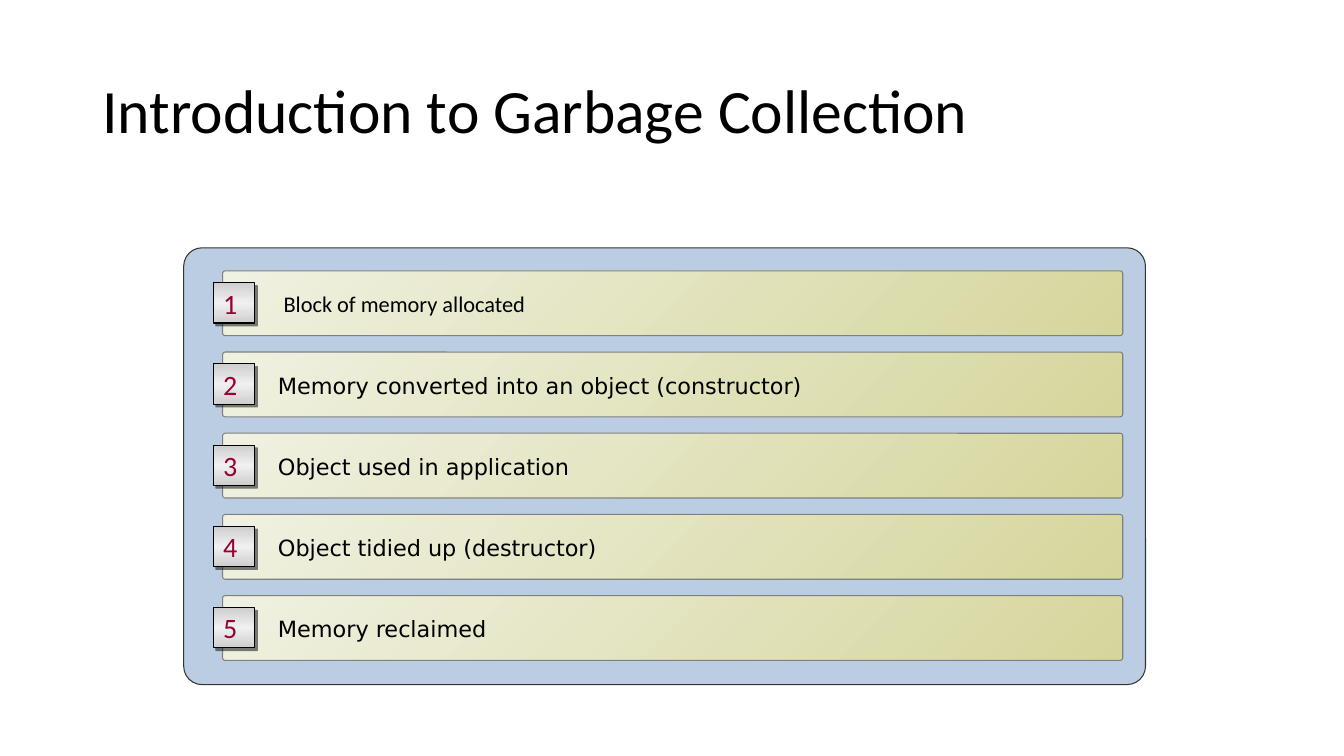
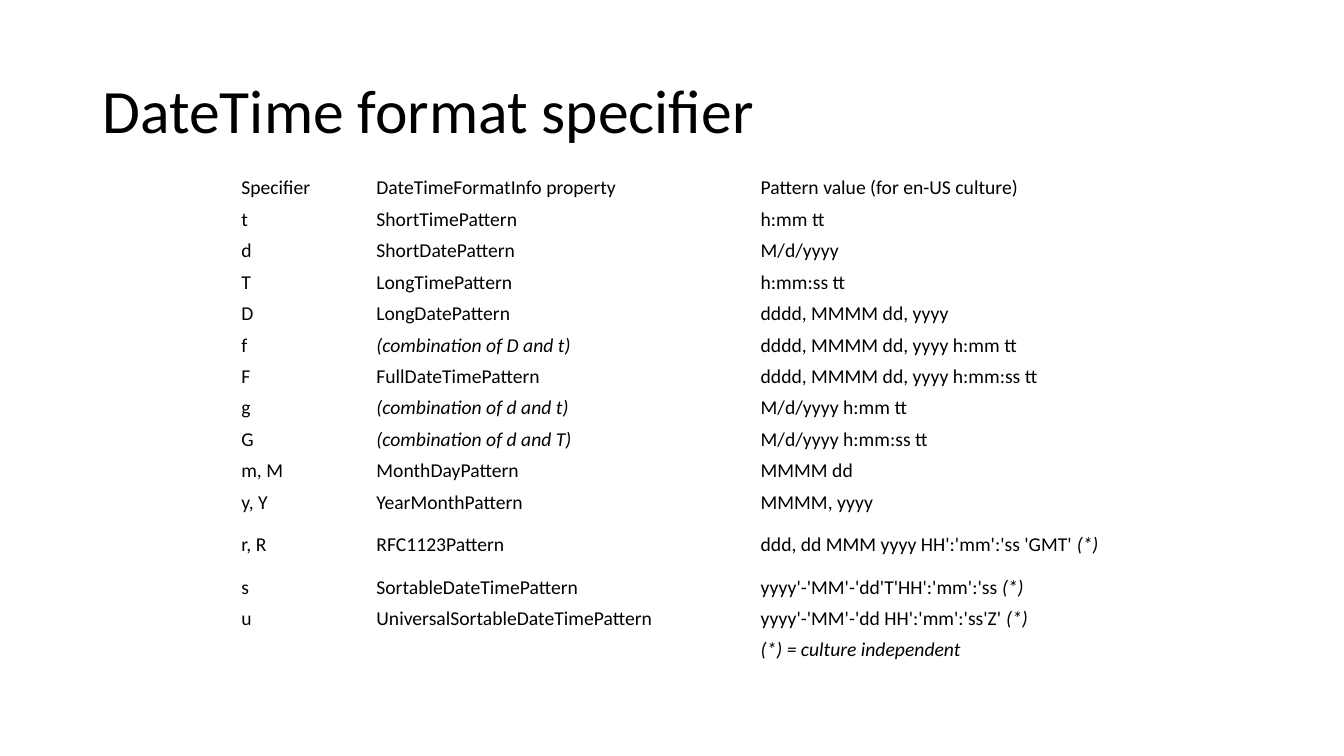
from lxml.etree import SubElement as Sub
from pptx import Presentation
from pptx.dml.color import RGBColor as Rgb
from pptx.enum.shapes import MSO_SHAPE as Form
from pptx.enum.text import MSO_ANCHOR as Anchor, MSO_AUTO_SIZE as Auto, PP_ALIGN as Align
from pptx.oxml.ns import qn
from pptx.util import Pt

BLACK = Rgb(0x00, 0x00, 0x00)
WHITE = Rgb(0xFF, 0xFF, 0xFF)
DARK = Rgb(0x33, 0x33, 0x33)
GREY = Rgb(0x80, 0x80, 0x80)
BLUE = Rgb(0xBB, 0xCD, 0xE3)
CREAM = Rgb(0xF0, 0xF1, 0xE1)
OLIVE = Rgb(0xD5, 0xD6, 0x9C)
STEEL = Rgb(0xCE, 0xCE, 0xCE)
SHINE = Rgb(0xF0, 0xF0, 0xF0)
WINE = Rgb(0x99, 0x00, 0x33)

SANS = "Calibri"
WIDE = "DejaVu Sans"

STEPS = [
    ("Block of memory allocated", SANS, 43),
    ("Memory converted into an object (constructor)", WIDE, 39),
    ("Object used in application", WIDE, 39),
    ("Object tidied up (destructor)", WIDE, 39),
    ("Memory reclaimed", WIDE, 39),
]

ROWS = [
    ("Specifier", "DateTimeFormatInfo property", "Pattern value (for en-US culture)"),
    ("t", "ShortTimePattern", "h:mm tt"),
    ("d", "ShortDatePattern", "M/d/yyyy"),
    ("T", "LongTimePattern", "h:mm:ss tt"),
    ("D", "LongDatePattern", "dddd, MMMM dd, yyyy"),
    ("f", "(combination of D and t)", "dddd, MMMM dd, yyyy h:mm tt"),
    ("F", "FullDateTimePattern", "dddd, MMMM dd, yyyy h:mm:ss tt"),
    ("g", "(combination of d and t)", "M/d/yyyy h:mm tt"),
    ("G", "(combination of d and T)", "M/d/yyyy h:mm:ss tt"),
    ("m, M", "MonthDayPattern", "MMMM dd"),
    ("y, Y", "YearMonthPattern", "MMMM, yyyy"),
    ("r, R", "RFC1123Pattern", "ddd, dd MMM yyyy HH':'mm':'ss 'GMT' (*)"),
    ("s", "SortableDateTimePattern", "yyyy'-'MM'-'dd'T'HH':'mm':'ss (*)"),
    ("u", "UniversalSortableDateTimePattern", "yyyy'-'MM'-'dd HH':'mm':'ss'Z' (*)"),
    ("", "", "(*) = culture independent"),
]


def apply(item, vals):
    for key, val in vals.items():
        setattr(item, key, val)


class Deck:
    def __init__(self):
        self.show = Presentation()
        apply(self.show, {"slide_width": Pt(960), "slide_height": Pt(540)})
        self.slide = None

    def page(self, text):
        self.slide = self.show.slides.add_slide(self.show.slide_layouts[5])
        head = self.slide.shapes.title
        apply(head, {"left": Pt(66), "top": Pt(28.75), "width": Pt(828), "height": Pt(104.4)})
        apply(head.text_frame, {"auto_size": Auto.NONE, "word_wrap": True,
                                "vertical_anchor": Anchor.MIDDLE})
        para = head.text_frame.paragraphs[0]
        apply(para, {"alignment": Align.LEFT, "line_spacing": 0.9})
        self.run(para, text, 44)

    def run(self, para, text, size, face=SANS, color=BLACK, slant=False):
        run = para.add_run()
        run.text = text
        apply(run.font, {"size": Pt(size), "name": face, "italic": slant, "bold": False})
        run.font.color.rgb = color

    def box(self, left, top, width, height, edge, tones, angle=0, curve=0.042):
        box = self.slide.shapes.add_shape(
            Form.ROUNDED_RECTANGLE, Pt(left), Pt(top), Pt(width), Pt(height))
        box.adjustments[0] = curve
        box.shadow.inherit = False
        box.line.color.rgb = edge
        box.line.width = Pt(0.75)
        if len(tones) == 1:
            box.fill.solid()
            box.fill.fore_color.rgb = tones[0]
        else:
            self.blend(box, tones, angle)
        return box

    def blend(self, box, tones, angle):
        box.fill.gradient()
        box.fill.gradient_angle = angle
        stops = box.element.spPr.find(qn("a:gradFill")).find(qn("a:gsLst"))
        for stop in list(stops):
            stops.remove(stop)
        for spot, tone in enumerate(tones):
            stop = Sub(stops, qn("a:gs"), pos=str(100000 * spot // (len(tones) - 1)))
            Sub(stop, qn("a:srgbClr"), val=str(tone))

    def shade(self, box):
        list_ = box.element.spPr.find(qn("a:effectLst"))
        cast = Sub(list_, qn("a:outerShdw"), blurRad="0", dist=str(int(Pt(2.8))),
                   dir="2700000", algn="ctr", rotWithShape="0")
        tone = Sub(cast, qn("a:srgbClr"), val=str(BLACK))
        Sub(tone, qn("a:alpha"), val="50000")

    def label(self, box, text, size, inset=7.2, space=1.0, **look):
        frame = box.text_frame
        apply(frame, {"margin_left": Pt(inset), "margin_right": 0, "margin_top": 0,
                      "margin_bottom": 0, "word_wrap": True,
                      "vertical_anchor": Anchor.MIDDLE})
        para = frame.paragraphs[0]
        apply(para, {"alignment": Align.LEFT, "line_spacing": space})
        self.run(para, text, size, **look)

    def step(self, top, num, text, face, inset):
        bar = self.box(159, top, 643, 46.25, GREY, [CREAM, OLIVE], 315)
        self.label(bar, text, 16, inset, 1.05, face=face)
        badge = self.box(152.25, top + 8.5, 29.5, 28.75, BLACK, [STEEL, SHINE, STEEL], 270, 0)
        self.shade(badge)
        self.label(badge, str(num), 20, color=WINE)

    def cell(self, cell, text):
        apply(cell, {"margin_left": Pt(5.4), "margin_right": Pt(5.4), "margin_top": Pt(2.7),
                     "margin_bottom": Pt(2.7), "vertical_anchor": Anchor.MIDDLE})
        cell.fill.solid()
        cell.fill.fore_color.rgb = WHITE
        para = cell.text_frame.paragraphs[0]
        body, mark, rest = text.partition("(*)")
        for part, slant in ((body, body.startswith("(")), (mark + rest, True)):
            if part:
                self.run(para, part, 14, slant=slant)
        if not text:
            Sub(para._p, qn("a:endParaRPr"), sz="1400")

    def table(self, left, top, rows, wide, high):
        grid = self.slide.shapes.add_table(
            len(rows), len(wide), Pt(left), Pt(top), Pt(sum(wide)), Pt(sum(high))).table
        apply(grid, {"first_row": False, "horz_banding": False})
        for col, width in zip(grid.columns, wide):
            col.width = Pt(width)
        for row, height, texts in zip(grid.rows, high, rows):
            row.height = Pt(height)
            for cell, text in zip(row.cells, texts):
                self.cell(cell, text)


def main():
    deck = Deck()
    deck.page("Introduction to Garbage Collection")
    deck.box(131.25, 177, 687, 312, DARK, [BLUE])
    for spot, (text, face, inset) in enumerate(STEPS):
        deck.step(193.5 + 58 * spot, spot + 1, text, face, inset)

    deck.page("DateTime format specifier")
    high = [38 if row[0].startswith("r") else 22.5 for row in ROWS]
    deck.table(167, 123, ROWS, [96.5, 274.5, 309], high)
    deck.show.save("out.pptx")


if __name__ == "__main__":
    main()
